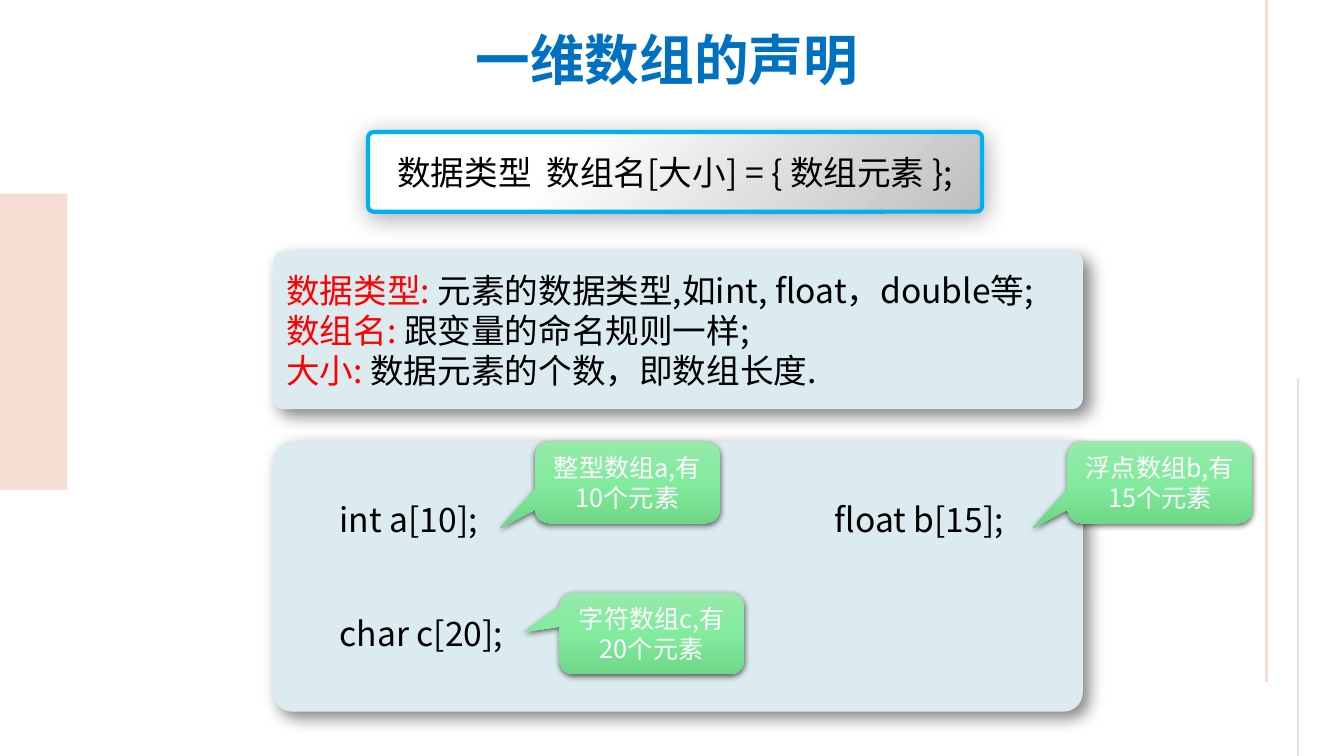
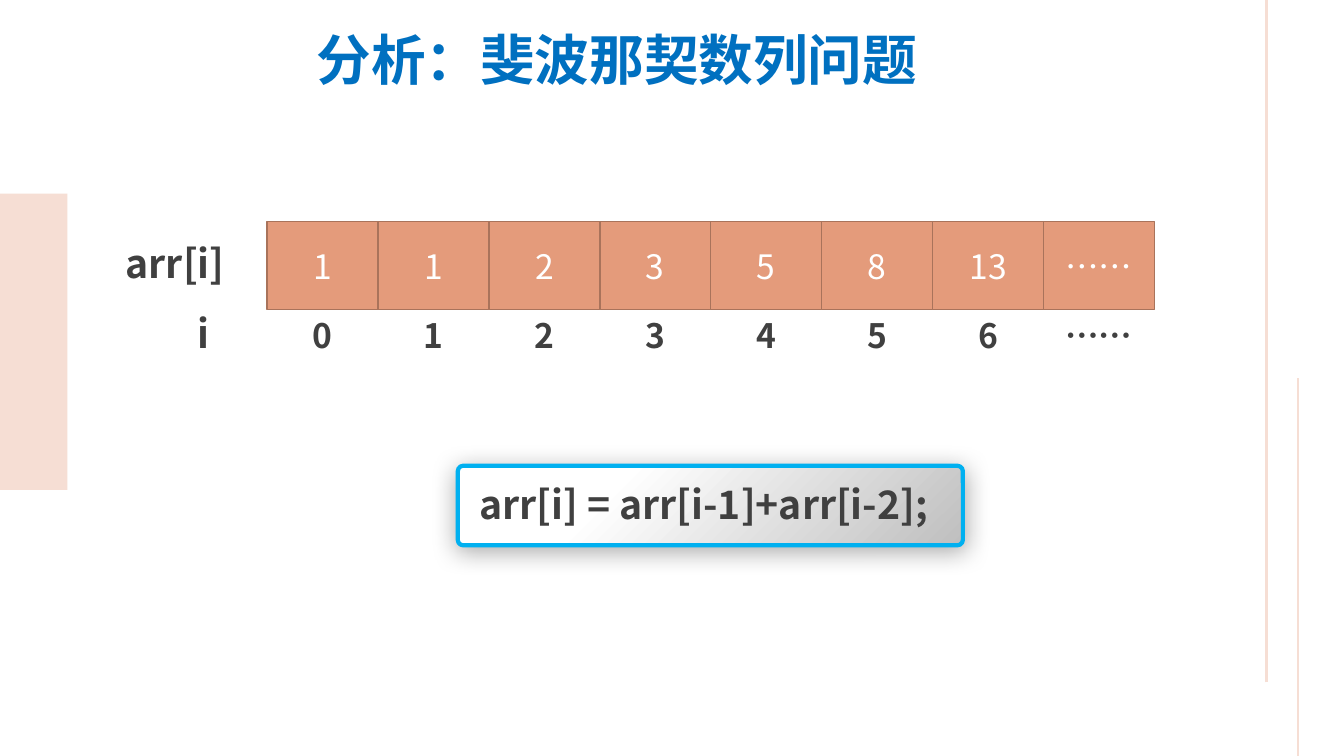
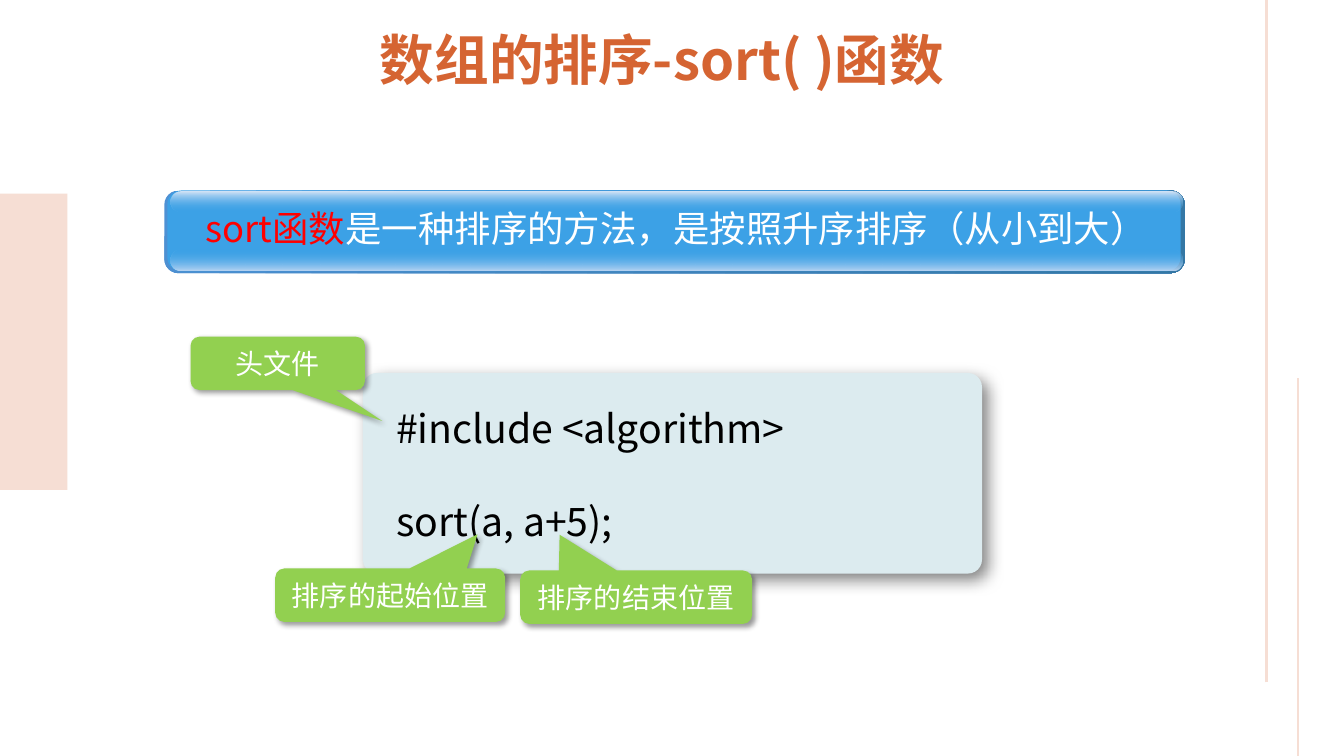
from dataclasses import dataclass

from lxml import etree
from pptx import Presentation
from pptx.dml.color import RGBColor
from pptx.enum.shapes import MSO_CONNECTOR, MSO_SHAPE
from pptx.enum.text import MSO_ANCHOR, PP_ALIGN
from pptx.oxml.ns import qn
from pptx.util import Pt

RECT = MSO_SHAPE.RECTANGLE
ROUND = MSO_SHAPE.ROUNDED_RECTANGLE
CALLOUT = MSO_SHAPE.ROUNDED_RECTANGULAR_CALLOUT
STRAIGHT = MSO_CONNECTOR.STRAIGHT
TOP, MIDDLE = MSO_ANCHOR.TOP, MSO_ANCHOR.MIDDLE
LEFT, CENTER = PP_ALIGN.LEFT, PP_ALIGN.CENTER
EMU_PER_PX = 9144


@dataclass(frozen=True)
class Gradient:
    """Linear fill: clockwise angle and (position, colour[, alpha]) stops."""
    angle: int
    stops: tuple


@dataclass(frozen=True)
class Shadow:
    """Outer black shadow: opacity in percent, lengths in points."""
    alpha: int
    blur: float
    dist: float
    angle: int


@dataclass(frozen=True)
class Theme:
    """Colours, fills, shadows and type sizes of the deck."""
    font: str = "Noto Sans CJK SC"
    title_pt: int = 39
    code_pt: int = 28
    banner_pt: int = 26
    body_pt: int = 24
    tag_pt: int = 20
    note_pt: int = 18
    black: str = "000000"
    white: str = "FFFFFF"
    grey: str = "404040"
    red: str = "FF0000"
    title: str = "0070C0"
    title_warm: str = "D56432"
    deco: str = "F6DED4"
    panel: str = "DCEBEF"
    outline: str = "00B0F0"
    cell: str = "E49B7B"
    cell_line: str = "A9735B"
    tag: str = "92D050"
    banner: str = "3CA1E6"
    note: Gradient = Gradient(
        90, ((0, "96EAAB"), (50, "82EB9D"), (100, "6ED788")))
    silver: Gradient = Gradient(45, ((30, "FFFFFF"), (100, "BFBFBF")))
    banner_rim: Gradient = Gradient(45, ((0, "4E91D4"), (100, "3477A4")))
    banner_glow: Gradient = Gradient(90, ((0, "3CA1E6", 0), (100, "BDD6F3")))
    banner_shine: Gradient = Gradient(90, ((0, "D7E5F7"), (100, "3CA1E6", 0)))
    panel_shadow: Shadow = Shadow(50, 12, 6, 45)
    formula_shadow: Shadow = Shadow(33, 17.8, 3, 87)
    note_shadow: Shadow = Shadow(63, 4.5, 1.5, 90)
    tag_shadow: Shadow = Shadow(40, 4, 3, 45)


T = Theme()


def px(*values):
    """Turn whole px into EMU."""
    return [v * EMU_PER_PX for v in values]


def add_color(parent, color, alpha=100):
    """Append an RGB colour with opacity to an XML parent."""
    clr = etree.SubElement(parent, qn("a:srgbClr"), val=color)
    if alpha < 100:
        etree.SubElement(clr, qn("a:alpha"), val=str(alpha * 1000))


def paint(sp, fill):
    """Fill a shape with a colour or a Gradient."""
    if isinstance(fill, str):
        sp.fill.solid()
        sp.fill.fore_color.rgb = RGBColor.from_string(fill)
        return
    sp.fill.gradient()
    sp.fill.gradient_angle = 360 - fill.angle
    stops = sp._element.spPr.find(qn("a:gradFill")).find(qn("a:gsLst"))
    for old in list(stops):
        stops.remove(old)
    for pos, *color in fill.stops:
        gs = etree.SubElement(stops, qn("a:gs"), pos=str(pos * 1000))
        add_color(gs, *color)


def cast(sp, shadow):
    """Give a shape an outer shadow, or none."""
    sp.shadow.inherit = False
    if shadow:
        effects = sp._element.spPr.find(qn("a:effectLst"))
        outer = etree.SubElement(
            effects, qn("a:outerShdw"),
            blurRad=str(Pt(shadow.blur)), dist=str(Pt(shadow.dist)),
            dir=str(shadow.angle * 60000), algn="ctr", rotWithShape="0")
        add_color(outer, T.black, shadow.alpha)


def write(tf, text, size=T.body_pt, color=T.black, bold=False, align=LEFT,
          anchor=TOP, spacing=None):
    """Write a string, or paragraphs made of (text, colour) runs."""
    tf.word_wrap = True
    tf.vertical_anchor = anchor
    paragraphs = [[(text, color)]] if isinstance(text, str) else text
    for i, runs in enumerate(paragraphs):
        p = tf.add_paragraph() if i else tf.paragraphs[0]
        p.alignment = align
        if spacing:
            p.line_spacing = spacing
        for words, run_color in runs:
            r = p.add_run()
            r.text = words
            r.font.size, r.font.bold, r.font.name = Pt(size), bold, T.font
            r.font.color.rgb = RGBColor.from_string(run_color)
            etree.SubElement(r._r.rPr, qn("a:ea"), typeface=T.font)


def label(s, box, text, **fmt):
    """Add a text box."""
    write(s.shapes.add_textbox(*px(*box)).text_frame, text, **fmt)


def block(s, kind, box, fill, adj=(), line=None, shadow=None, text=None,
          **fmt):
    """Add a preset shape with fill, outline, shadow and text."""
    sp = s.shapes.add_shape(kind, *px(*box))
    for i, value in enumerate(adj):
        sp.adjustments[i] = value
    paint(sp, fill)
    if line:
        color, width = line
        sp.line.color.rgb = RGBColor.from_string(color)
        sp.line.width = Pt(width)
    else:
        sp.line.fill.background()
    cast(sp, shadow)
    if text:
        write(sp.text_frame, text, anchor=MIDDLE, **fmt)


def rule(s, x, top, bottom, width):
    """Add a vertical decorative line."""
    ln = s.shapes.add_connector(STRAIGHT, *px(x, bottom, x, top))
    ln.line.color.rgb = RGBColor.from_string(T.deco)
    ln.line.width = Pt(width)
    etree.SubElement(ln._element.spPr, qn("a:effectLst"))


def panel(s, box, text=None):
    """Add a pale rounded panel."""
    block(s, ROUND, box, T.panel, adj=[0.07], shadow=T.panel_shadow,
          text=text)


def formula_box(s, box, text=None):
    """Add a silver box with a bright outline."""
    block(s, ROUND, box, T.silver, adj=[0.07], line=(T.outline, 3),
          shadow=T.formula_shadow, text=text, align=CENTER)


def note(s, x, y, tip_y, text):
    """Add a green note pointing to the left."""
    block(s, CALLOUT, (x, y, 183, 81), T.note, adj=[-0.69, tip_y, 0.17],
          shadow=T.note_shadow, text=text, size=T.note_pt, color=T.white,
          align=CENTER)


def tag(s, x, y, w, tip, text):
    """Add a flat green tag pointing at code."""
    block(s, CALLOUT, (x, y, w, 53), T.tag, adj=[*tip, 0.17],
          shadow=T.tag_shadow, text=text, size=T.tag_pt, color=T.white,
          align=CENTER)


def new_slide(prs, title, x, w, color=T.title):
    """Add a blank slide with the shared decoration and its title."""
    s = prs.slides.add_slide(prs.slide_layouts[6])
    block(s, RECT, (0, 192, 67, 294), T.deco)
    rule(s, 1256, 0, 677, 2.25)
    rule(s, 1287, 375, 750, 1.5)
    label(s, (x, 21, w, 76), title, size=T.title_pt, color=color, bold=True)
    return s


def declaration_slide(prs):
    """Show how a one-dimensional array is declared."""
    s = new_slide(prs, "一维数组的声明", 462, 417)
    formula_box(s, (365, 131, 609, 79), "数据类型  数组名[大小] = { 数组元素 };")
    terms = [
        ("数据类型: ", "元素的数据类型,如int, float，double等;"),
        ("数组名: ", "跟变量的命名规则一样;"),
        ("大小: ", "数据元素的个数，即数组长度."),
    ]
    panel(s, (271, 249, 803, 157),
          [[(term, T.red), (meaning, T.black)] for term, meaning in terms])
    panel(s, (271, 438, 803, 268))
    note(s, 531, 438, 0.56, "整型数组a,有10个元素")
    note(s, 1059, 438, 0.56, "浮点数组b,有15个元素")
    note(s, 555, 588, -0.02, "字符数组c,有20个元素")
    for x, y, code in [(327, 490, "int a[10];"), (818, 490, "float b[15];"),
                       (327, 603, "char c[20];")]:
        label(s, (x, y, 241, 50), code)


def fibonacci_slide(prs):
    """Show the Fibonacci numbers as array cells over their indexes."""
    s = new_slide(prs, "分析：斐波那契数列问题", 304, 638)
    left, cell_w = 265, 110
    values = ["1", "1", "2", "3", "5", "8", "13", "……"]
    indexes = ["0", "1", "2", "3", "4", "5", "6", "……"]
    for i, (value, index) in enumerate(zip(values, indexes)):
        x = left + i * cell_w
        block(s, RECT, (x, 220, cell_w, 87), T.cell, line=(T.cell_line, 1),
              text=value, color=T.white, align=CENTER)
        label(s, (x, 308, cell_w, 50), index, color=T.grey, bold=True,
              align=CENTER)
    formula_box(s, (454, 462, 501, 79))
    for box, text in [((115, 233, 126, 57), "arr[i]"),
                      ((186, 302, 43, 57), "i"),
                      ((466, 472, 490, 57), "arr[i] = arr[i-1]+arr[i-2];")]:
        label(s, box, text, size=T.code_pt, color=T.grey, bold=True)


def sort_slide(prs):
    """Show the sort function and the meaning of its arguments."""
    s = new_slide(prs, "数组的排序-sort( )函数", 367, 614, T.title_warm)
    for box, fill, corner in [
            ((163, 189, 1012, 82), T.banner_rim, 0.17),
            ((166, 189, 1005, 80), T.banner, 0.17),
            ((169, 248, 1004, 20), T.banner_glow, 0.5),
            ((169, 190, 1004, 20), T.banner_shine, 0.5)]:
        block(s, ROUND, box, fill, adj=[corner])
    label(s, (155, 200, 1032, 54),
          [[("sort函数", T.red),
            ("是一种排序的方法，是按照升序排序（从小到大）", T.white)]],
          size=T.banner_pt, align=CENTER)
    panel(s, (360, 370, 614, 199))
    for y, code in [(373, "#include <algorithm>"), (465, "sort(a, a+5);")]:
        label(s, (383, y, 575, 81), code, size=T.code_pt, spacing=1.5)
    tag(s, 189, 334, 173, (0.6, 1.08), "头文件")
    tag(s, 273, 564, 228, (0.38, -1.14), "排序的起始位置")
    tag(s, 516, 566, 230, (-0.33, -1.17), "排序的结束位置")


def main():
    """Build the deck and save it."""
    prs = Presentation()
    prs.slide_width, prs.slide_height = px(1333, 750)
    declaration_slide(prs)
    fibonacci_slide(prs)
    sort_slide(prs)
    prs.save("out.pptx")


if __name__ == "__main__":
    main()
